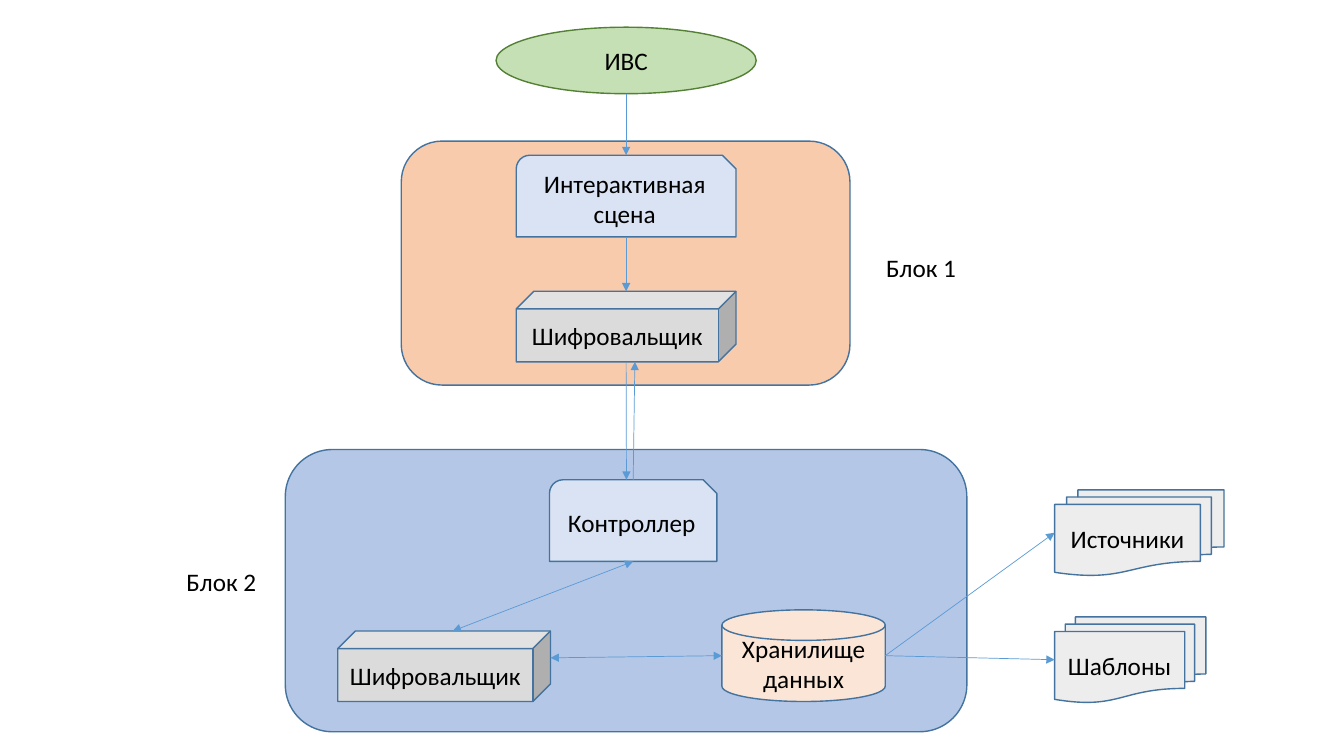
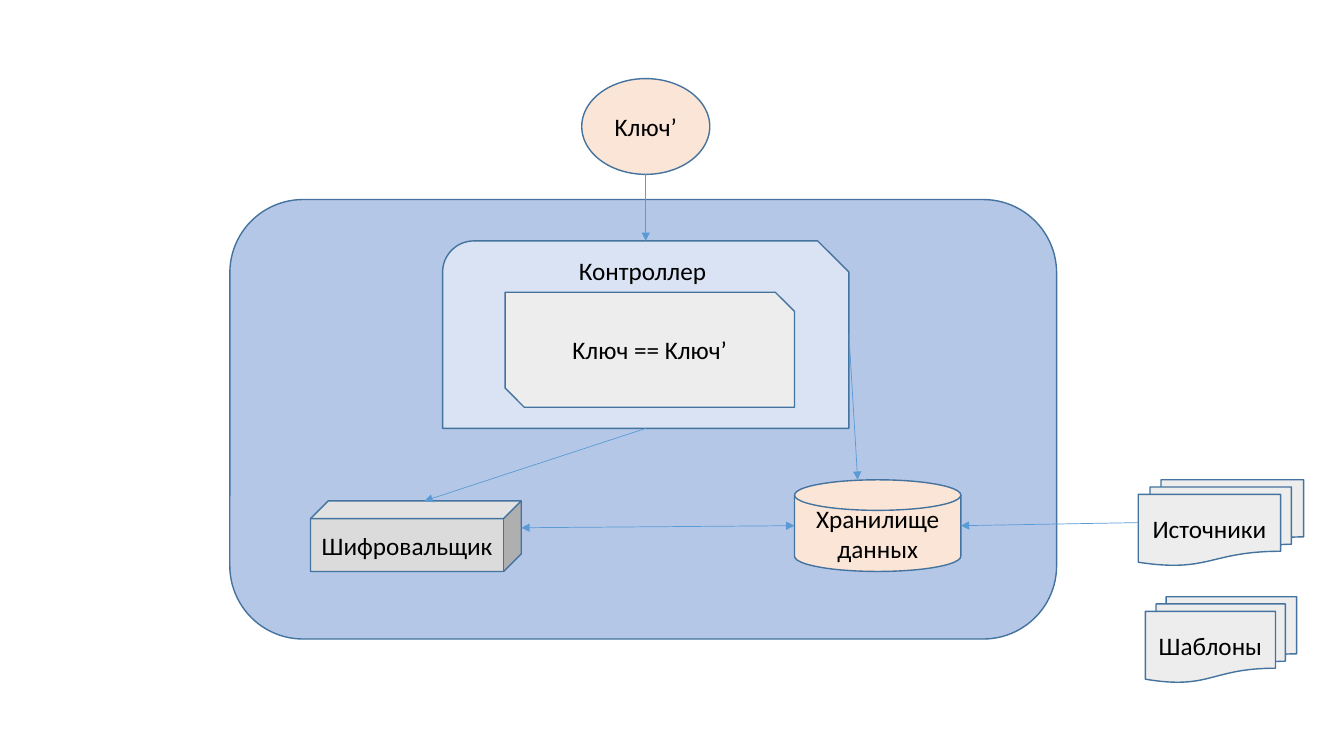
from lxml.etree import SubElement
from pptx import Presentation
from pptx.dml.color import RGBColor
from pptx.enum.shapes import MSO_CONNECTOR as Connector, MSO_SHAPE as Preset
from pptx.enum.text import MSO_ANCHOR as Anchor, MSO_AUTO_SIZE as AutoSize, PP_ALIGN as Align
from pptx.oxml.ns import qn
from pptx.util import Inches, Pt

COLORS = {
    "outline": "43739E", "arrow": "5B9BD5", "text": "000000",
    "green": "C5E0B4", "green outline": "538035",
    "orange": "F8CBAD", "pale orange": "FBE5D6",
    "blue": "B4C7E7", "pale blue": "DAE3F3",
    "gray": "DBDBDB", "pale gray": "EDEDED",
}
FONT = "Calibri"
CELL = Inches(0.1)  # one column or row of the layout grid

# Each kind of node has a preset shape and a fill
NODES = {
    "entry": (Preset.OVAL, "green"),
    "key": (Preset.OVAL, "pale orange"),
    "front block": (Preset.ROUNDED_RECTANGLE, "orange"),
    "back block": (Preset.ROUNDED_RECTANGLE, "blue"),
    "module": (Preset.SNIP_ROUND_RECTANGLE, "pale blue"),
    "check": (Preset.SNIP_2_DIAG_RECTANGLE, "pale gray"),
    "cipher": (Preset.CUBE, "gray"),
    "storage": (Preset.FLOWCHART_MAGNETIC_DISK, "pale orange"),
    "documents": (Preset.FLOWCHART_MULTIDOCUMENT, "pale gray"),
}

# Attachment points as shares of a shape's width and height
TOP, BOTTOM, LEFT, RIGHT = (0.5, 0), (0.5, 1), (0, 0.5), (1, 0.5)
CUBE_TOP, CUBE_RIGHT = (0.54, 0), (1, 0.38)


def color(name):
    """Return the named colour."""
    return RGBColor.from_string(COLORS[name])


def write_text(shape, text, size=18, fill="text", align=Align.CENTER, anchor=Anchor.MIDDLE):
    """Put formatted text into a shape."""
    frame = shape.text_frame
    frame.word_wrap = True
    frame.vertical_anchor = anchor
    paragraph = frame.paragraphs[0]
    paragraph.alignment = align
    run = paragraph.add_run()
    run.text = text
    run.font.name, run.font.size = FONT, Pt(size)
    run.font.color.rgb = color(fill)


def attachment(shape, share):
    """Return the point at the given shares of a shape's box."""
    across, down = share
    return (int(shape.left + across * shape.width),
            int(shape.top + down * shape.height))


class Diagram:
    """Holds the presentation, the current slide and the drawing style."""

    def __init__(self):
        """Start an empty widescreen presentation."""
        self.presentation = Presentation()
        self.presentation.slide_width = Inches(13.33)
        self.presentation.slide_height = Inches(7.5)
        self.slide = None

    def new_slide(self):
        """Add a blank slide and make it current."""
        self.slide = self.presentation.slides.add_slide(self.presentation.slide_layouts[6])

    def node(self, kind, column, row, columns, rows, text="", outline="outline", **text_format):
        """Draw a node of a known kind on the grid."""
        preset, fill = NODES[kind]
        box = [int(cells * CELL) for cells in (column, row, columns, rows)]
        shape = self.slide.shapes.add_shape(preset, *box)
        shape.shadow.inherit = False
        shape.fill.solid()
        shape.fill.fore_color.rgb = color(fill)
        shape.line.color.rgb = color(outline)
        shape.line.width = Pt(1)
        if text:
            write_text(shape, text, **text_format)
        return shape

    def label(self, column, row, text):
        """Write a free-standing label on the grid."""
        box = [int(cells * CELL) for cells in (column, row, 10.5, 4)]
        shape = self.slide.shapes.add_textbox(*box)
        write_text(shape, text, align=Align.LEFT, anchor=Anchor.TOP)
        shape.text_frame.auto_size = AutoSize.SHAPE_TO_FIT_TEXT

    def arrow(self, source, source_share, target, target_share, both=False):
        """Draw an arrow between points of two nodes."""
        line = self.slide.shapes.add_connector(
            Connector.STRAIGHT, *attachment(source, source_share),
            *attachment(target, target_share))
        line.line.color.rgb = color("arrow")
        line.line.width = Pt(0.5)
        properties = line.line._get_or_add_ln()
        for end in ("a:headEnd", "a:tailEnd") if both else ("a:tailEnd",):
            SubElement(properties, qn(end), type="triangle")
        SubElement(line._element.spPr, qn("a:effectLst"))

    def cipher(self, column, row, columns):
        """Draw an encryption node."""
        return self.node("cipher", column, row, columns, 7, "Шифровальщик")

    def storage(self, column, row, columns):
        """Draw a data storage node."""
        return self.node("storage", column, row, columns, 9.1, "Хранилище данных")

    def documents(self, column, row, columns, text):
        """Draw a stack of documents."""
        return self.node("documents", column, row, columns, 8.5, text)


def draw_overview(diagram):
    """Draw both blocks and the links between them."""
    diagram.new_slide()
    entry = diagram.node("entry", 49.2, 2.7, 25.8, 6.6, "ИВС", outline="green outline")
    diagram.node("front block", 39.8, 14, 44.5, 24.2)
    diagram.node("back block", 28.3, 44.6, 67.6, 28)
    scene = diagram.node("module", 51.2, 15.4, 21.8, 8.1, "Интерактивная сцена")
    controller = diagram.node("module", 54.5, 47.6, 16.6, 8.1, "Контроллер")
    storage = diagram.storage(71.6, 60.5, 16.2)
    back_cipher = diagram.cipher(33.5, 62.6, 21.1)
    front_cipher = diagram.cipher(51.2, 28.9, 21.8)
    sources = diagram.documents(104.6, 48.6, 16.8, "Источники")
    templates = diagram.documents(104.6, 61.2, 15, "Шаблоны")

    diagram.arrow(entry, BOTTOM, scene, TOP)
    diagram.arrow(scene, BOTTOM, front_cipher, TOP)
    diagram.arrow(front_cipher, BOTTOM, controller, (0.46, 0))
    diagram.arrow(controller, TOP, front_cipher, (0.54, 1))
    diagram.arrow(controller, BOTTOM, back_cipher, CUBE_TOP, both=True)
    diagram.arrow(back_cipher, CUBE_RIGHT, storage, LEFT, both=True)
    for documents in (templates, sources):
        diagram.arrow(storage, RIGHT, documents, LEFT)

    diagram.label(86.9, 24.5, "Блок 1")
    diagram.label(17.5, 55.7, "Блок 2")


def draw_key_check(diagram):
    """Draw the key check inside the controller."""
    diagram.new_slide()
    diagram.node("back block", 22.8, 19.8, 82, 43.6)
    controller = diagram.node("module", 43.9, 23.9, 40.3, 18.6, "Контроллер", anchor=Anchor.TOP)
    storage = diagram.storage(78.8, 47.6, 16.5)
    cipher = diagram.cipher(30.8, 49.7, 20.9)
    sources = diagram.documents(112.9, 47.6, 16.4, "Источники")
    diagram.documents(113.6, 59.2, 15, "Шаблоны")
    key = diagram.node("key", 57.7, 7.8, 12.7, 9.5, "Kлюч’")
    diagram.node("check", 50.1, 29, 28.7, 11.4, "Kлюч == Kлюч’")

    diagram.arrow(key, BOTTOM, controller, TOP)
    diagram.arrow(controller, BOTTOM, cipher, CUBE_TOP)
    diagram.arrow(controller, RIGHT, storage, (0.38, 0))
    diagram.arrow(cipher, CUBE_RIGHT, storage, LEFT, both=True)
    diagram.arrow(sources, LEFT, storage, RIGHT)


diagram = Diagram()
draw_overview(diagram)
draw_key_check(diagram)
diagram.presentation.save("out.pptx")
